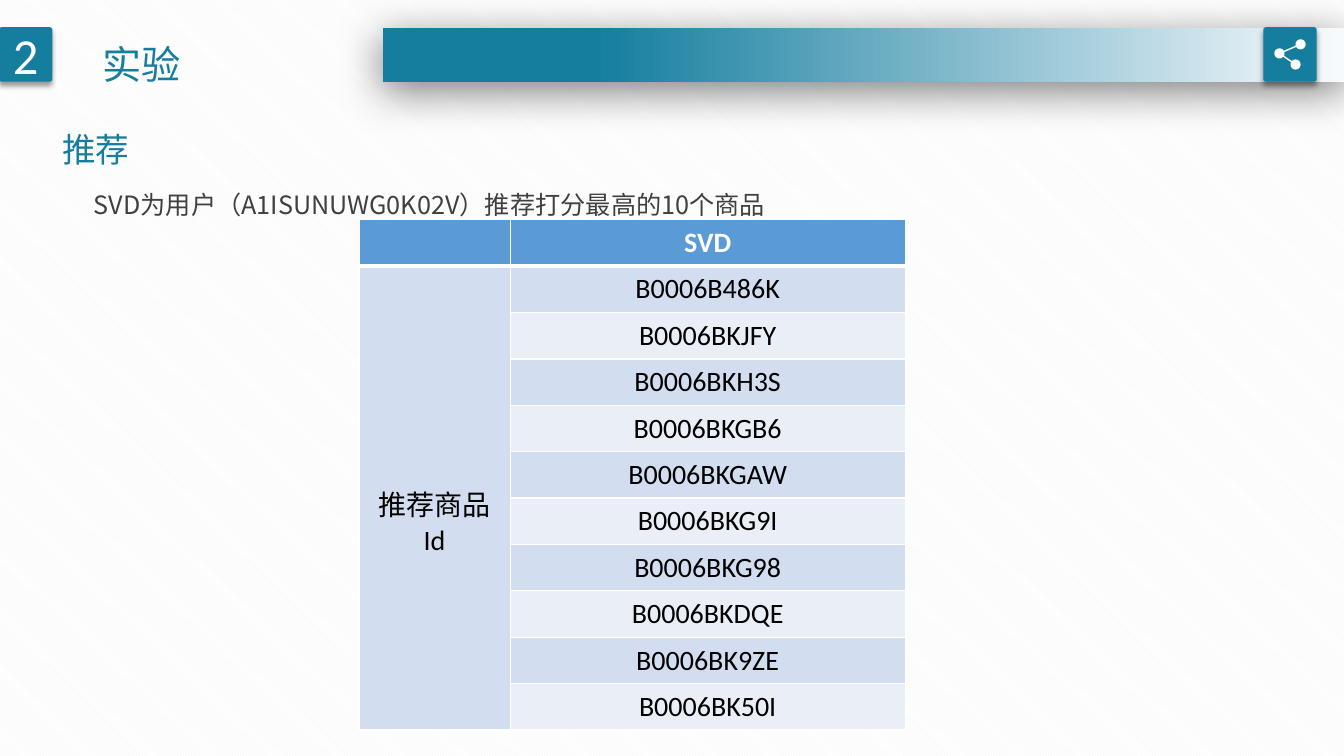
from dataclasses import dataclass
from math import atan2, cos, pi, radians, sin

from lxml.etree import SubElement
from pptx import Presentation
from pptx.dml.color import RGBColor
from pptx.enum.dml import MSO_PATTERN
from pptx.enum.shapes import MSO_SHAPE
from pptx.enum.text import MSO_ANCHOR, MSO_AUTO_SIZE, PP_ALIGN
from pptx.oxml import parse_xml
from pptx.oxml.ns import nsdecls, qn
from pptx.util import Inches, Pt


@dataclass(frozen=True)
class Theme:
    teal: str = "157E9F"
    pale: str = "F7FAFD"
    white: str = "FFFFFF"
    stripe: str = "F2F2F2"
    black: str = "000000"
    body_text: str = "404040"
    header_fill: str = "5B9BD5"
    odd_fill: str = "D2DEEF"
    even_fill: str = "EAEFF7"
    latin: str = "Calibri"
    chinese: str = "Noto Sans CJK SC"
    number_size: int = 36
    title_size: int = 28
    heading_size: int = 24
    body_size: int = 18
    table_size: int = 20


def set_format(target, values):
    for name, value in values.items():
        setattr(target, name, value)


class SlideBuilder:
    def __init__(self, slide, theme):
        self.slide = slide
        self.theme = theme

    def background(self):
        fill = self.slide.background.fill
        fill.patterned()
        fill.pattern = MSO_PATTERN.DARK_DOWNWARD_DIAGONAL
        fill.fore_color.rgb = RGBColor.from_string(self.theme.stripe)
        fill.back_color.rgb = RGBColor.from_string(self.theme.white)

    def fill_text(self, frame, text, font, size, color, bold=False, **paragraph_format):
        paragraph = frame.paragraphs[0]
        set_format(paragraph, paragraph_format)
        run = paragraph.add_run()
        run.text = text
        set_format(run.font, {"name": font, "size": Pt(size), "bold": bold})
        run.font.color.rgb = RGBColor.from_string(color)
        east_asian = SubElement(run._r.get_or_add_rPr(), qn("a:ea"))
        east_asian.set("typeface", self.theme.chinese)
        return paragraph

    def text(self, shape, box, text, size, color, spacing, wrap=True, indent=0):
        names = ("left", "top", "width", "height")
        set_format(shape, dict(zip(names, map(Inches, box))))
        set_format(shape.text_frame, {
            "word_wrap": wrap, "auto_size": MSO_AUTO_SIZE.NONE,
            "vertical_anchor": MSO_ANCHOR.TOP})
        paragraph = self.fill_text(
            shape.text_frame, text, self.theme.chinese, size, color,
            alignment=PP_ALIGN.LEFT, line_spacing=spacing, space_before=Pt(0))
        properties = paragraph._p.get_or_add_pPr()
        properties.set("marL", str(Inches(indent)))
        properties.set("indent", "0")
        SubElement(properties, qn("a:buNone"))

    def text_box(self, box, *details):
        self.text(self.slide.shapes.add_textbox(*map(Inches, box)), box, *details)

    def block(self, kind, box, shadow):
        shape = self.slide.shapes.add_shape(kind, *map(Inches, box))
        shape.line.fill.background()
        shape.fill.solid()
        shape.fill.fore_color.rgb = RGBColor.from_string(self.theme.teal)
        opacity, blur, distance, angle = shadow
        shape._element.spPr.append(parse_xml(
            f'<a:effectLst {nsdecls("a")}><a:outerShdw blurRad="{Pt(blur)}" '
            f'dist="{Pt(distance)}" dir="{angle * 60000}" algn="ctr" rotWithShape="0">'
            f'<a:srgbClr val="{self.theme.black}"><a:alpha val="{opacity * 1000}"/>'
            '</a:srgbClr></a:outerShdw></a:effectLst>'))
        return shape

    def banner(self, box):
        fill = self.block(MSO_SHAPE.RECTANGLE, box, (50, 31, 6, 97)).fill
        fill.gradient()
        fill.gradient_angle = 180
        stops = ((0, self.theme.pale), (0.78, self.theme.teal))
        for stop, (position, color) in zip(fill.gradient_stops, stops):
            stop.position = position
            stop.color.rgb = RGBColor.from_string(color)

    def badge(self, box, text=None):
        shape = self.block(MSO_SHAPE.ROUNDED_RECTANGLE, box, (40, 4, 3, 90))
        shape.adjustments[0] = 0.05
        if text:
            shape.text_frame.vertical_anchor = MSO_ANCHOR.MIDDLE
            self.fill_text(shape.text_frame, text, self.theme.latin,
                           self.theme.number_size, self.theme.white,
                           alignment=PP_ALIGN.CENTER)

    def share_icon(self, hub, first, second, radius):
        """Outline of three round nodes joined by two spokes."""
        gap = radians(8)
        to_first, to_second = (
            atan2(node[1] - hub[1], node[0] - hub[0]) for node in (first, second))
        arcs = (
            (first, to_first + pi + gap, to_first + 3 * pi - gap),
            (hub, to_first + gap, to_second - gap),
            (second, to_second + pi + gap, to_second + 3 * pi - gap),
            (hub, to_second + gap, to_first + 2 * pi - gap))
        steps = 24
        points = []
        for (x, y), start, end in arcs:
            for step in range(steps + 1):
                angle = start + (end - start) * step / steps
                points.append((Inches(x + radius * cos(angle)),
                               Inches(y + radius * sin(angle))))
        builder = self.slide.shapes.build_freeform(*points[0])
        builder.add_line_segments(points[1:], close=True)
        icon = builder.convert_to_shape()
        icon.shadow.inherit = False
        icon.line.fill.background()
        icon.fill.solid()
        icon.fill.fore_color.rgb = RGBColor.from_string(self.theme.white)

    def cell(self, cell, fill, text, color, bold, top, bottom):
        set_format(cell, {
            "margin_left": Inches(0.11), "margin_right": Inches(0.11),
            "margin_top": Inches(0.06), "margin_bottom": Inches(0.06)})
        cell.fill.solid()
        cell.fill.fore_color.rgb = RGBColor.from_string(fill)
        sides = (("lnL", 1), ("lnR", 1), ("lnT", top), ("lnB", bottom))
        for index, (side, width) in enumerate(sides):
            cell._tc.get_or_add_tcPr().insert(index, parse_xml(
                f'<a:{side} {nsdecls("a")} w="{Pt(width)}"><a:solidFill>'
                f'<a:srgbClr val="{self.theme.white}"/></a:solidFill></a:{side}>'))
        if text:
            self.fill_text(cell.text_frame, text, self.theme.latin,
                           self.theme.table_size, color, bold,
                           alignment=PP_ALIGN.CENTER)

    def table(self, box, widths, header, label, products):
        theme = self.theme
        rows = [("", header), *((label if index == 0 else "", product)
                                for index, product in enumerate(products))]
        table = self.slide.shapes.add_table(
            len(rows), len(widths), *map(Inches, box)).table
        for column, width in zip(table.columns, widths):
            column.width = Inches(width)
        for row, texts in enumerate(rows):
            is_header = row == 0
            band = theme.odd_fill if row % 2 else theme.even_fill
            fills = (theme.odd_fill, band)
            for column, text in enumerate(texts):
                self.cell(
                    table.cell(row, column),
                    theme.header_fill if is_header else fills[column], text,
                    theme.white if is_header else theme.black, is_header,
                    3 if row == 1 else 1, 3 if is_header else 1)
        # The label sits a little below the middle of its merged cell
        label_cell = table.cell(1, 0)
        label_cell.merge(table.cell(len(products), 0))
        set_format(label_cell, {"vertical_anchor": MSO_ANCHOR.MIDDLE,
                                "margin_top": Inches(0.5)})


def main():
    presentation = Presentation()
    set_format(presentation, {"slide_width": Inches(13.33),
                              "slide_height": Inches(7.5)})
    slide = presentation.slides.add_slide(presentation.slide_layouts[1])
    theme = Theme()
    builder = SlideBuilder(slide, theme)
    builder.background()

    # Header bar, section number and share icon
    builder.banner((3.8, 0.28, 9.53, 0.53))
    builder.badge((-0.01, 0.27, 0.53, 0.54), "2")
    builder.badge((12.53, 0.27, 0.53, 0.54))
    builder.share_icon((12.69, 0.53), (12.9, 0.44), (12.85, 0.64), 0.05)

    # Title, heading and introduction
    title, body = slide.placeholders
    builder.text(title, (0.83, 0.12, 1.1, 0.72), "实验",
                 theme.title_size, theme.teal, 1.5, False, 0.09)
    builder.text_box((0.52, 1.11, 12, 0.57), "推荐",
                     theme.heading_size, theme.teal, 1.3)
    builder.text(body, (0.83, 1.68, 11.81, 0.5),
                 "SVD为用户（A1ISUNUWG0K02V）推荐打分最高的10个商品",
                 theme.body_size, theme.body_text, 1.5)

    # Recommended products
    builder.table(
        (3.56, 2.18, 5.42, 4.99), (1.5, 3.92), "SVD", "推荐商品Id",
        ("B0006B486K", "B0006BKJFY", "B0006BKH3S", "B0006BKGB6", "B0006BKGAW",
         "B0006BKG9I", "B0006BKG98", "B0006BKDQE", "B0006BK9ZE", "B0006BK50I"))
    presentation.save("out.pptx")


if __name__ == "__main__":
    main()
